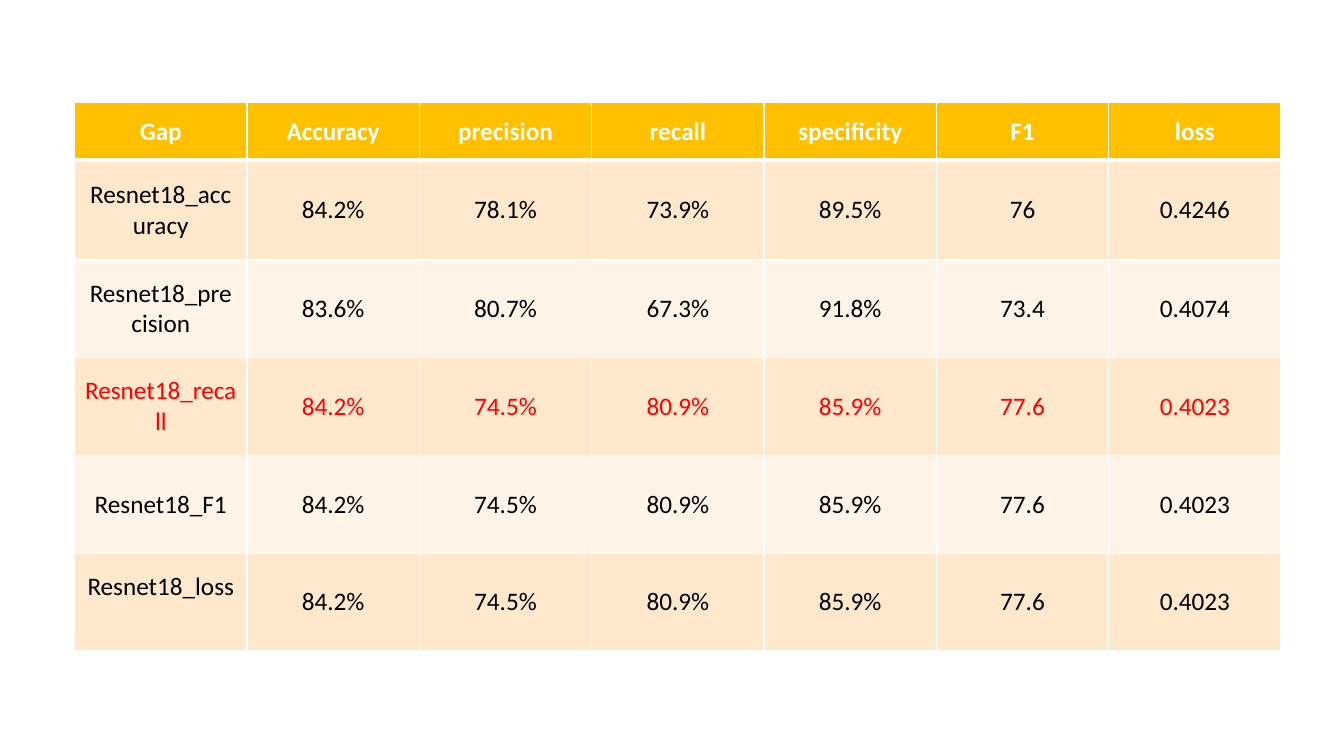
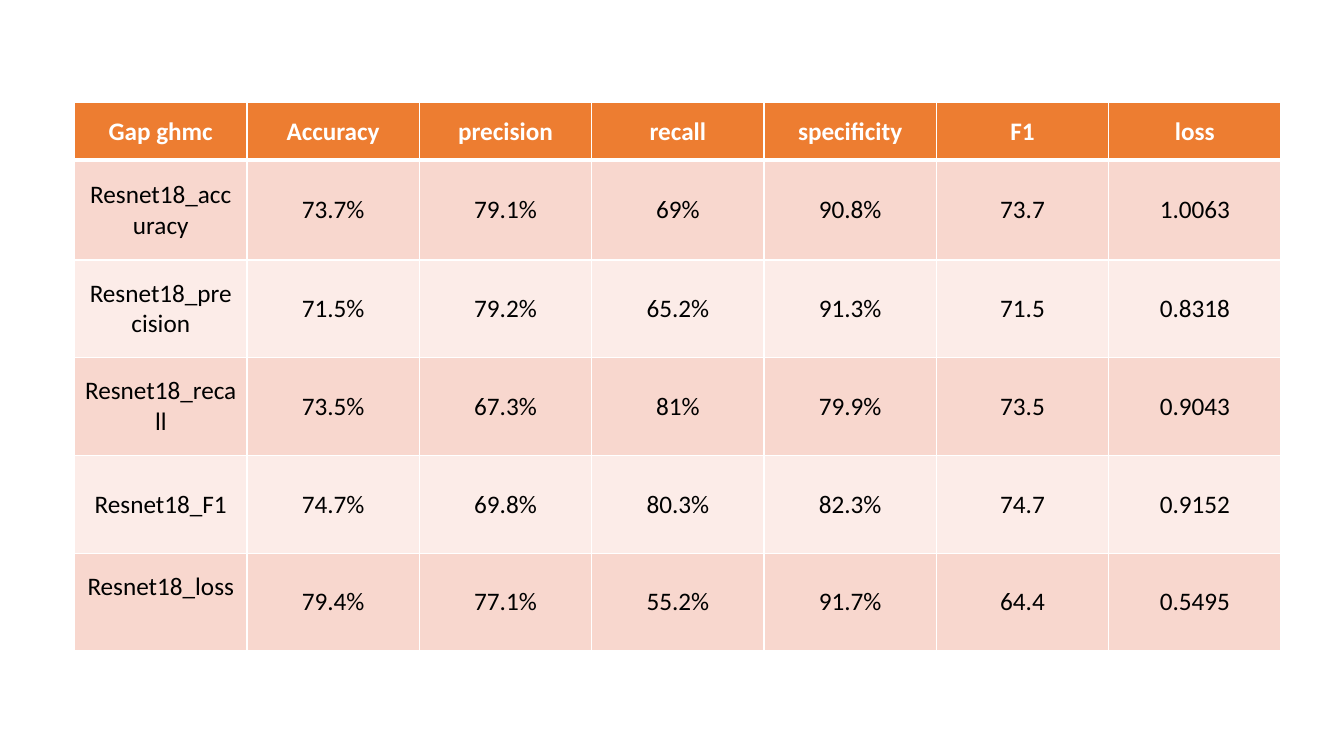
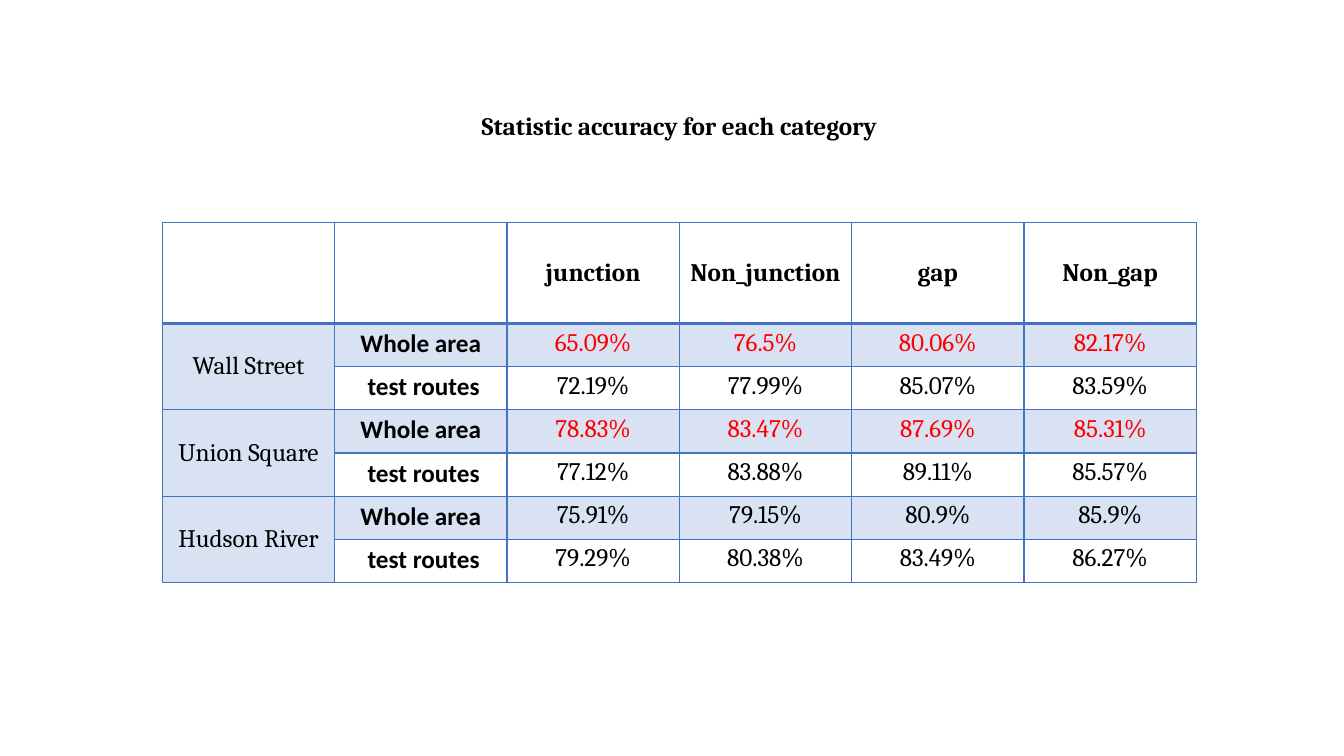
import dataclasses

import lxml.etree
import pptx
import pptx.dml.color
import pptx.enum.text
import pptx.oxml
import pptx.oxml.ns
import pptx.util

Pt = pptx.util.Pt
RGB = pptx.dml.color.RGBColor.from_string
MIDDLE = pptx.enum.text.MSO_ANCHOR.MIDDLE
TOP = pptx.enum.text.MSO_ANCHOR.TOP
CENTER = pptx.enum.text.PP_ALIGN.CENTER


@dataclasses.dataclass(frozen=True)
class Theme:
    sans: str = "Calibri"
    serif: str = "Cambria"
    size: int = 18
    text: str = "000000"
    white: str = "FFFFFF"
    accent: str = "FF0000"
    blue: str = "4472C4"
    blue_alpha: int = 20
    gold: tuple = ("FFC000", "FFE8CC", "FFF4E7")
    orange: tuple = ("ED7D31", "F8D7CE", "FCECE8")
    column: float = 123.12


theme = Theme()


def add_grid(slide, left, top, columns, heights):
    width = theme.column * columns
    sp = slide.shapes.add_table(
        len(heights), columns, Pt(left), Pt(top), Pt(width), Pt(sum(heights))
    )
    table = sp.table
    table.first_row = table.horz_banding = False
    for column in table.columns:
        column.width = Pt(theme.column)
    for row, height in zip(table.rows, heights):
        row.height = Pt(height)
    return table


def style_cell(cell, text, font, color, bold, fill, alpha, anchor, line, top, bottom):
    cell.vertical_anchor = anchor
    p = cell.text_frame.paragraphs[0]
    p.text = text
    p.alignment = CENTER
    p.font.name = font
    p.font.size = Pt(theme.size)
    p.font.bold = bold
    p.font.color.rgb = RGB(color)
    if fill:
        cell.fill.solid()
        cell.fill.fore_color.rgb = RGB(fill)
    else:
        cell.fill.background()
    tcPr = cell._tc.get_or_add_tcPr()
    if fill and alpha < 100:
        rgb = tcPr.find(".//" + pptx.oxml.ns.qn("a:srgbClr"))
        lxml.etree.SubElement(rgb, pptx.oxml.ns.qn("a:alpha"), val=str(alpha * 1000))
    borders = (("lnL", 1), ("lnR", 1), ("lnT", top), ("lnB", bottom))
    for i, (side, width) in enumerate(borders):
        tcPr.insert(i, pptx.oxml.parse_xml(
            f'<a:{side} {pptx.oxml.ns.nsdecls("a")} w="{Pt(width)}">'
            f'<a:solidFill><a:srgbClr val="{line}"/></a:solidFill></a:{side}>'
        ))


prs = pptx.Presentation()
prs.slide_width, prs.slide_height = Pt(960), Pt(540)
blank = prs.slide_layouts[6]

metrics = ["Accuracy", "precision", "recall", "specificity", "F1", "loss"]
models = ["accuracy", "precision", "recall", "F1", "loss"]
results = [
    ("Gap", theme.gold, "recall", [
        ["84.2%", "78.1%", "73.9%", "89.5%", "76", "0.4246"],
        ["83.6%", "80.7%", "67.3%", "91.8%", "73.4", "0.4074"],
        ["84.2%", "74.5%", "80.9%", "85.9%", "77.6", "0.4023"],
        ["84.2%", "74.5%", "80.9%", "85.9%", "77.6", "0.4023"],
        ["84.2%", "74.5%", "80.9%", "85.9%", "77.6", "0.4023"],
    ]),
    ("Gap ghmc", theme.orange, None, [
        ["73.7%", "79.1%", "69%", "90.8%", "73.7", "1.0063"],
        ["71.5%", "79.2%", "65.2%", "91.3%", "71.5", "0.8318"],
        ["73.5%", "67.3%", "81%", "79.9%", "73.5", "0.9043"],
        ["74.7%", "69.8%", "80.3%", "82.3%", "74.7", "0.9152"],
        ["79.4%", "77.1%", "55.2%", "91.7%", "64.4", "0.5495"],
    ]),
]

for name, (head_fill, *bands), best, values in results:
    s = prs.slides.add_slide(blank)
    table = add_grid(s, 53.28, 73.44, 7, [41.04, 71.28] + [69.84] * 4)
    rows = [[name] + metrics]
    rows += [[f"Resnet18_{model}"] + row for model, row in zip(models, values)]
    for r, row in enumerate(rows):
        head = r == 0
        fill = head_fill if head else bands[(r - 1) % 2]
        color = theme.white if head else theme.text
        if not head and models[r - 1] == best:
            color = theme.accent
        for c, text in enumerate(row):
            style_cell(table.cell(r, c), text, theme.sans, color, head, fill, 100,
                       MIDDLE, theme.white, 3 if r == 1 else 1, 3 if head else 1)
    table.cell(len(models), 0).margin_bottom = Pt(25)

s = prs.slides.add_slide(blank)
areas = ["Wall Street", "Union Square", "Hudson River"]
scopes = ["Whole area", " test routes"]
highlighted = (1, 3)
rates = [
    ["65.09%", "76.5%", "80.06%", "82.17%"],
    ["72.19%", "77.99%", "85.07%", "83.59%"],
    ["78.83%", "83.47%", "87.69%", "85.31%"],
    ["77.12%", "83.88%", "89.11%", "85.57%"],
    ["75.91%", "79.15%", "80.9%", "85.9%"],
    ["79.29%", "80.38%", "83.49%", "86.27%"],
]
table = add_grid(s, 115.92, 159.12, 6, [72] + [30.84] * len(rates))
rows = [["", "", "junction", "Non_junction", "gap", "Non_gap"]]
for i, row in enumerate(rates):
    rows.append([areas[i // 2] if i % 2 == 0 else "", scopes[i % 2]] + row)
for r, row in enumerate(rows):
    head = r == 0
    for c, text in enumerate(row):
        shaded = not head and (c == 0 or r % 2 == 1)
        style_cell(
            table.cell(r, c), text,
            theme.sans if c == 1 and not head else theme.serif,
            theme.accent if c > 1 and r in highlighted else theme.text,
            head or c == 1,
            theme.blue if shaded else None, theme.blue_alpha,
            MIDDLE if head or c == 0 else TOP,
            theme.blue, 2 if r == 1 else 1, 2 if head else 1,
        )
for r in range(1, len(rows), 2):
    table.cell(r, 0).merge(table.cell(r + 1, 0))

sp = s.shapes.add_textbox(Pt(325.44), Pt(75.6), Pt(319.68), Pt(28.8))
tf = sp.text_frame
tf.word_wrap = True
tf.auto_size = pptx.enum.text.MSO_AUTO_SIZE.SHAPE_TO_FIT_TEXT
p = tf.paragraphs[0]
p.text = "Statistic accuracy for each category"
p.alignment = CENTER
p.font.name = theme.serif
p.font.size = Pt(theme.size)
p.font.bold = True
p.font.color.rgb = RGB(theme.text)

prs.save("out.pptx")
